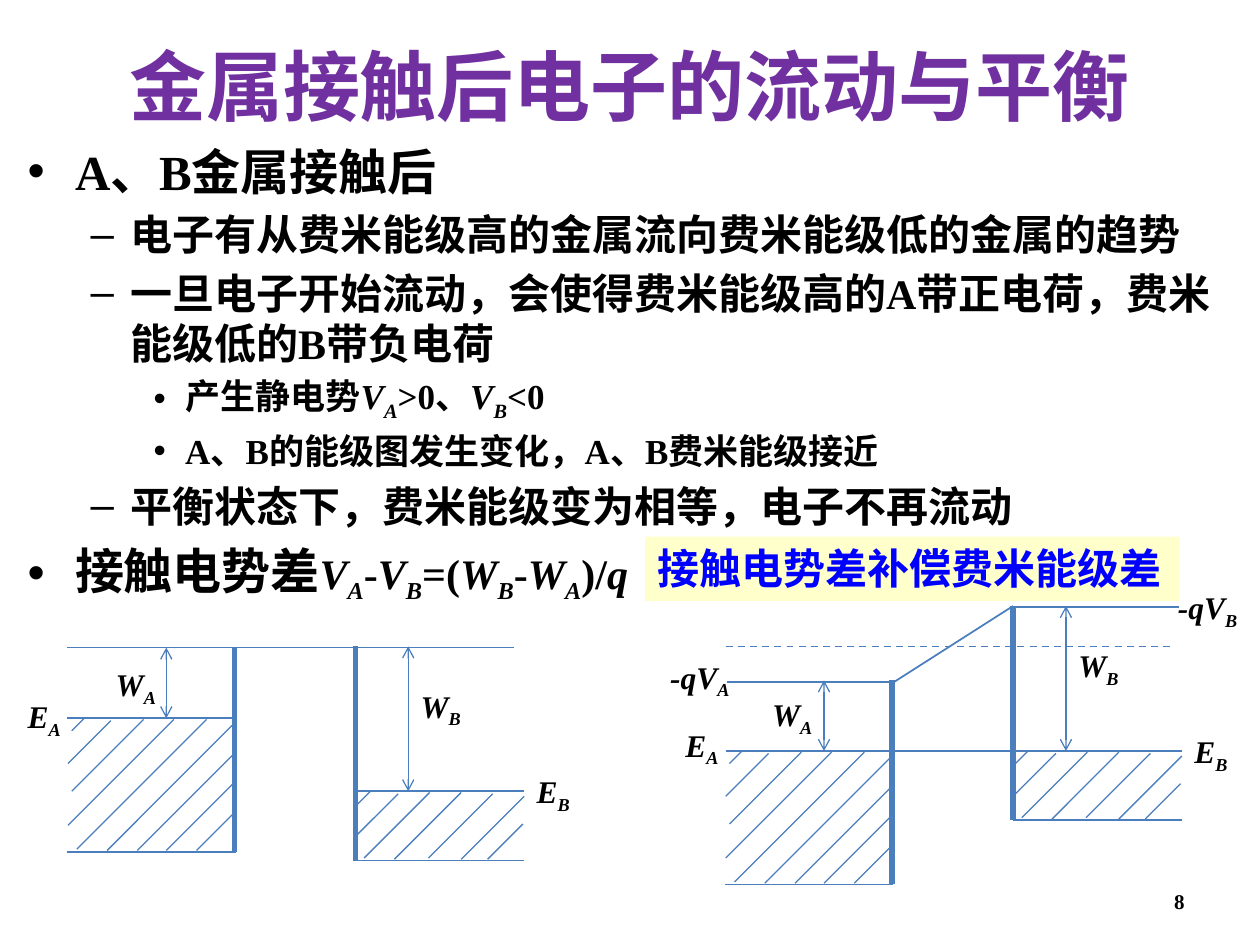
from lxml.etree import SubElement
from pptx import Presentation
from pptx.dml.color import RGBColor
from pptx.enum.dml import MSO_LINE
from pptx.enum.shapes import MSO_CONNECTOR, MSO_SHAPE
from pptx.enum.text import MSO_ANCHOR as Anchor, MSO_AUTO_SIZE as Fit, PP_ALIGN as Align
from pptx.oxml.ns import qn
from pptx.util import Inches, Pt

FONT = "Times New Roman"
BLACK = RGBColor(0, 0, 0)
PURPLE = RGBColor(0x70, 0x30, 0xA0)
BLUE = RGBColor(0, 0, 0xFF)
CREAM = RGBColor(0xFF, 0xFF, 0xCC)
STEEL = RGBColor(0x4B, 0x7E, 0xBC)

# In texts, | parts the runs; * marks italics, _ an italic subscript.
TITLE = "金属接触后电子的流动与平衡"
NOTE = "接触电势差补偿费米能级差"
BODY = [  # level, size of first run, size of the rest, text
    (0, 28, 28, "A、B金属接触后"),
    (1, 24, 24, "电子有从费米能级高的金属流向费米能级低的金属的趋势"),
    (1, 24, 24, "一旦电子开始流动，会使得费米能级高的A带正电荷，费米能级低的B带负电荷"),
    (2, 20, 20, "产生静电势|*V|_A|>0、|*V|_B|<0"),
    (2, 20, 20, "A、B的能级图发生变化，A、B费米能级接近"),
    (1, 24, 24, "平衡状态下，费米能级变为相等，电子不再流动"),
    (0, 28, 24, "接触电势差|*V|_A|-|*V|_B|=(|*W|_B|-|*W|_A|)/|*q"),
]

# Each metal: well width and depth, work function, and 45° hatches
# as (x, y, run) measured from the well's top left corner.
WELL = 1.34
METALS = {
    "A": dict(depth=1.06, work=0.56, arrow=0.79, wall=1.33, hatch=[
        (1.03, 1.05, 0.31), (0.79, 1.05, 0.55), (0.56, 1.05, 0.78),
        (0.32, 1.05, 1.02), (0.08, 1.04, 1.03), (0.01, 0.85, 0.84),
        (0.04, 0.58, 0.57), (0.01, 0.36, 0.34), (0.04, 0.1, 0.1)]),
    "B": dict(depth=0.55, work=1.15, arrow=0.42, wall=0, hatch=[
        (1.05, 0.54, 0.28), (0.84, 0.54, 0.5), (0.58, 0.53, 0.51),
        (0.31, 0.54, 0.53), (0.07, 0.53, 0.52), (0, 0.36, 0.34),
        (0.02, 0.1, 0.1)]),
}
STATES = [  # before and after contact
    dict(wells={"A": (0.53, 5.7), "B": (2.82, 6.28)},
         lines=[(0.53, 5.14, 4.08, 5.14, False),
                (0.53, 5.7, 1.87, 5.7, False),
                (2.82, 6.28, 4.16, 6.28, False)],
         labels=[("*W|_A", 0.82, 5.23, 0.52), ("*W|_B", 3.24, 5.4, 0.54),
                 ("*E|_A", 0.12, 5.48, 0.48), ("*E|_B", 4.16, 6.08, 0.48)]),
    dict(wells={"A": (5.75, 5.96), "B": (8.04, 5.96)},
         lines=[(5.76, 5.96, 9.38, 5.96, False),
                (5.76, 5.13, 9.3, 5.13, True),
                (5.77, 5.41, 7.1, 5.41, False),
                (7.1, 5.41, 8.04, 4.81, False),
                (8.04, 4.82, 9.36, 4.82, False)],
         labels=[("*W|_A", 6.03, 5.47, 0.52), ("*W|_B", 8.46, 5.08, 0.54),
                 ("*E|_A", 5.34, 5.71, 0.48), ("*E|_B", 9.38, 5.76, 0.48),
                 ("*-qV|_A", 5.22, 5.17, 0.67), ("*-qV|_B", 9.25, 4.62, 0.69)]),
]


def place(shape, *box):
    shape.left, shape.top, shape.width, shape.height = map(Inches, box)


def write(para, text, size, lead=None, color=BLACK, align=None):
    """Fill a paragraph with marked runs; lead is the first run's size."""
    para.alignment = align
    for i, part in enumerate(text.split("|")):
        run = para.add_run()
        run.text = part.lstrip("*_")
        font = run.font
        font.name, font.bold = FONT, True
        font.size = Pt(lead if lead and i == 0 else size)
        font.color.rgb = color
        if part[0] in "*_":
            font.italic = True
        if part[0] == "_":
            font._element.set("baseline", "-25000")


def label(shapes, text, box, size, **style):
    shape = shapes.add_textbox(*map(Inches, box))
    shape.text_frame.word_wrap = False
    write(shape.text_frame.paragraphs[0], text, size, **style)
    return shape


def line(shapes, x1, y1, x2, y2, width=1, dash=False, heads=False):
    item = shapes.add_connector(MSO_CONNECTOR.STRAIGHT,
                                *map(Inches, (x1, y1, x2, y2)))
    item.line.color.rgb = STEEL
    item.line.width = Pt(width)
    if dash:
        item.line.dash_style = MSO_LINE.DASH
    if heads:
        for end in ("a:headEnd", "a:tailEnd"):
            SubElement(item.line._get_or_add_ln(), qn(end), type="arrow")
    SubElement(item._element.spPr, qn("a:effectLst"))


def well(shapes, x, y, depth, work, arrow, wall, hatch):
    """Draw one metal's filled states below its Fermi level at y."""
    base = y + depth
    line(shapes, x, base, x + WELL, base)
    line(shapes, x + wall, base, x + wall, y - work, width=3)
    for dx, dy, run in hatch:
        line(shapes, x + dx, y + dy, x + dx + run, y + dy - run, width=0.75)
    line(shapes, x + arrow, y, x + arrow, y - work, width=0.75, heads=True)


def main():
    deck = Presentation()
    deck.slide_width, deck.slide_height = Inches(10), Inches(7.5)
    slide = deck.slides.add_slide(deck.slide_layouts[1])
    shapes = slide.shapes

    title, body = shapes.title, slide.placeholders[1]
    place(title, 0.33, 0.05, 9.34, 1.25)
    title.text_frame.vertical_anchor = Anchor.MIDDLE
    write(title.text_frame.paragraphs[0], TITLE, 44, color=PURPLE, align=Align.CENTER)

    place(body, 0.12, 1.07, 9.76, 3.46)
    frame = body.text_frame
    frame.auto_size = Fit.NONE
    for i, (level, lead, size, text) in enumerate(BODY):
        para = frame.add_paragraph() if i else frame.paragraphs[0]
        para.level = level
        write(para, text, size, lead=lead)

    page = label(shapes, "8", (7.17, 6.95, 2.33, 0.4), 12, align=Align.RIGHT)
    page.text_frame.word_wrap = True
    page.text_frame.vertical_anchor = Anchor.MIDDLE

    note = shapes.add_shape(MSO_SHAPE.RECTANGLE, *map(Inches, (5.12, 4.26, 4.24, 0.51)))
    note.shadow.inherit = False
    note.fill.solid()
    note.fill.fore_color.rgb = CREAM
    note.line.fill.background()
    note.text_frame.word_wrap = False
    note.text_frame.vertical_anchor = Anchor.TOP
    write(note.text_frame.paragraphs[0], NOTE, 24, color=BLUE, align=Align.LEFT)

    for state in STATES:
        group = shapes.add_group_shape().shapes
        for *ends, dash in state["lines"]:
            line(group, *ends, dash=dash)
        for name, (x, y) in state["wells"].items():
            well(group, x, y, **METALS[name])
        for text, x, y, width in state["labels"]:
            label(group, text, (x, y, width, 0.4), 18)

    deck.save("out.pptx")


if __name__ == "__main__":
    main()
